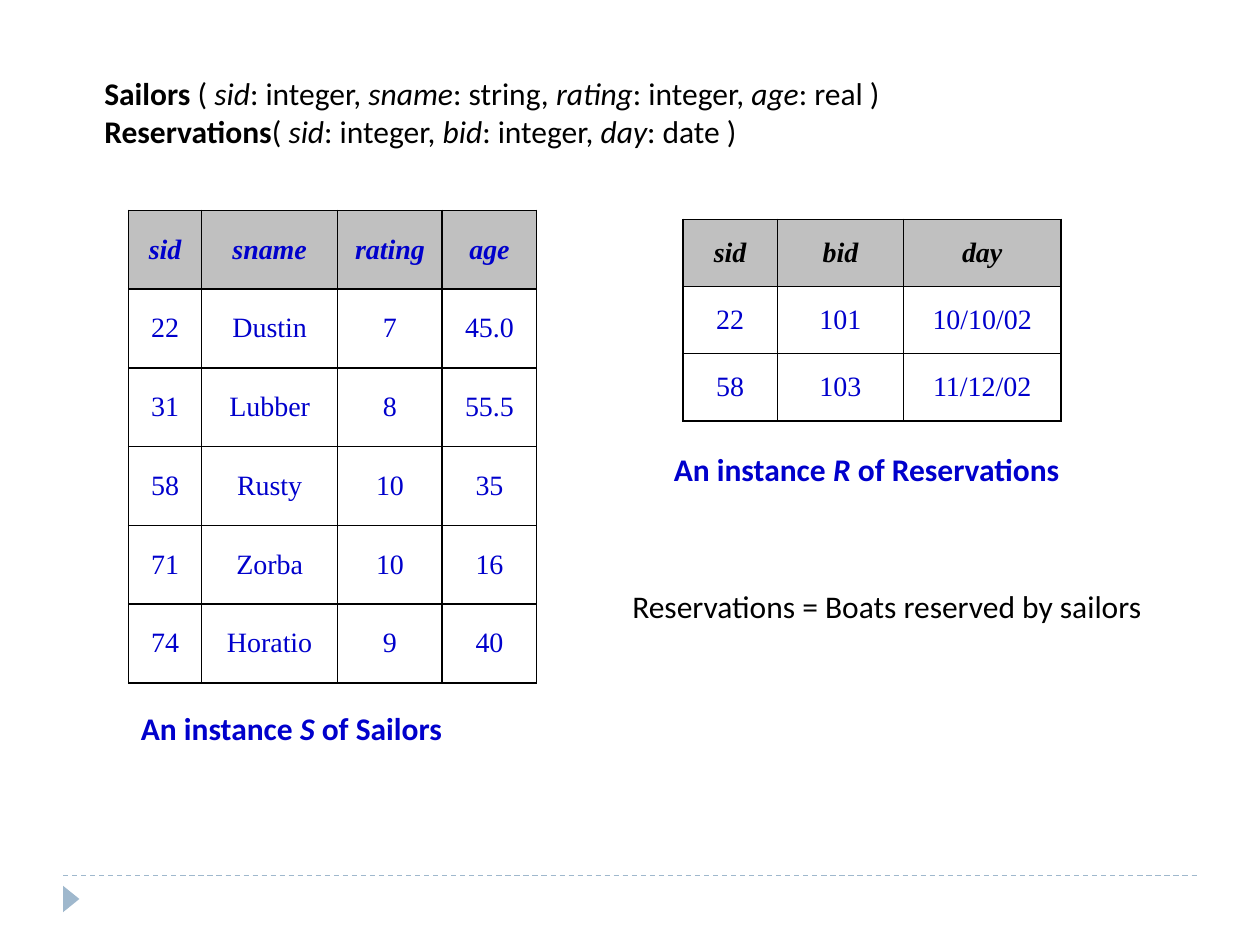
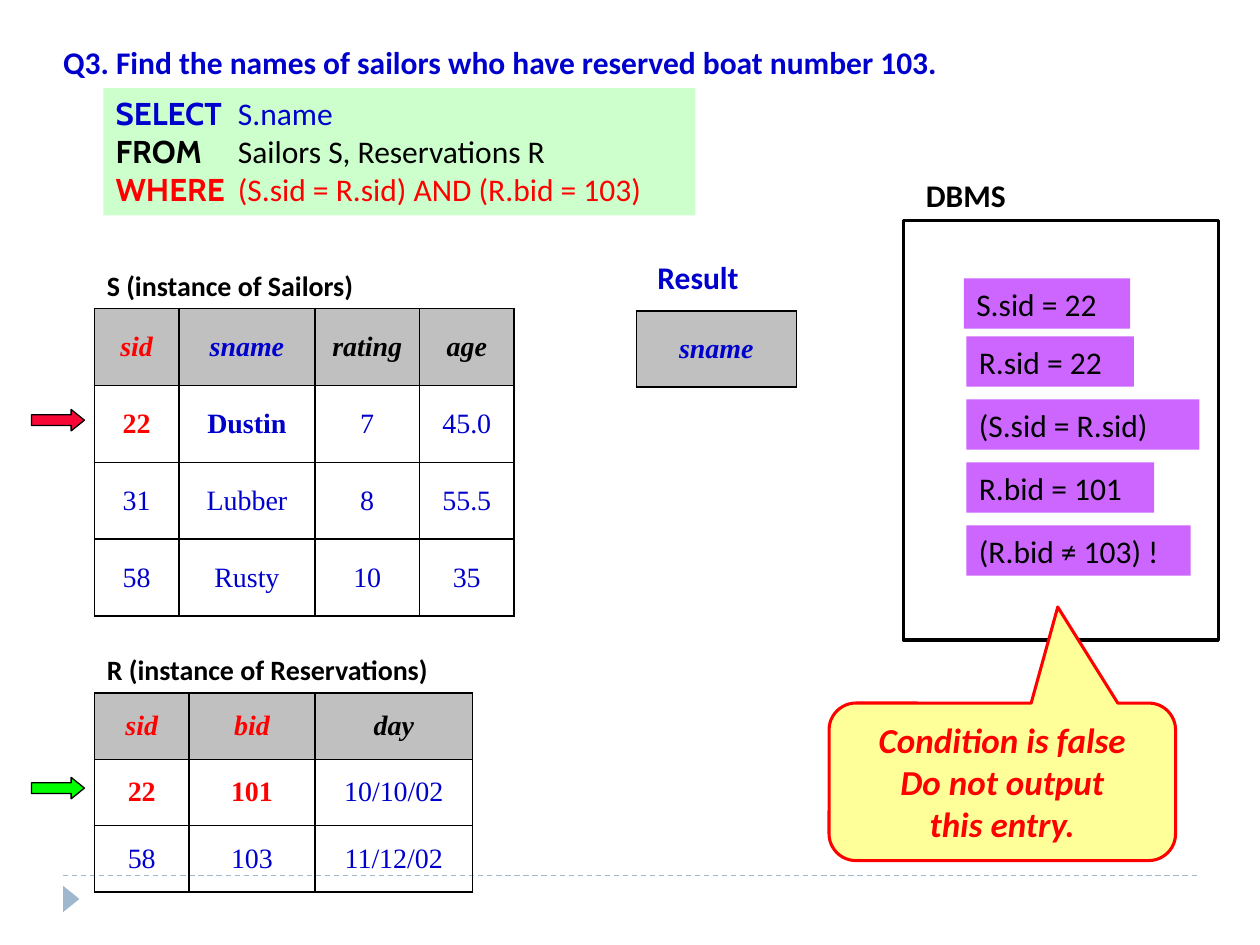
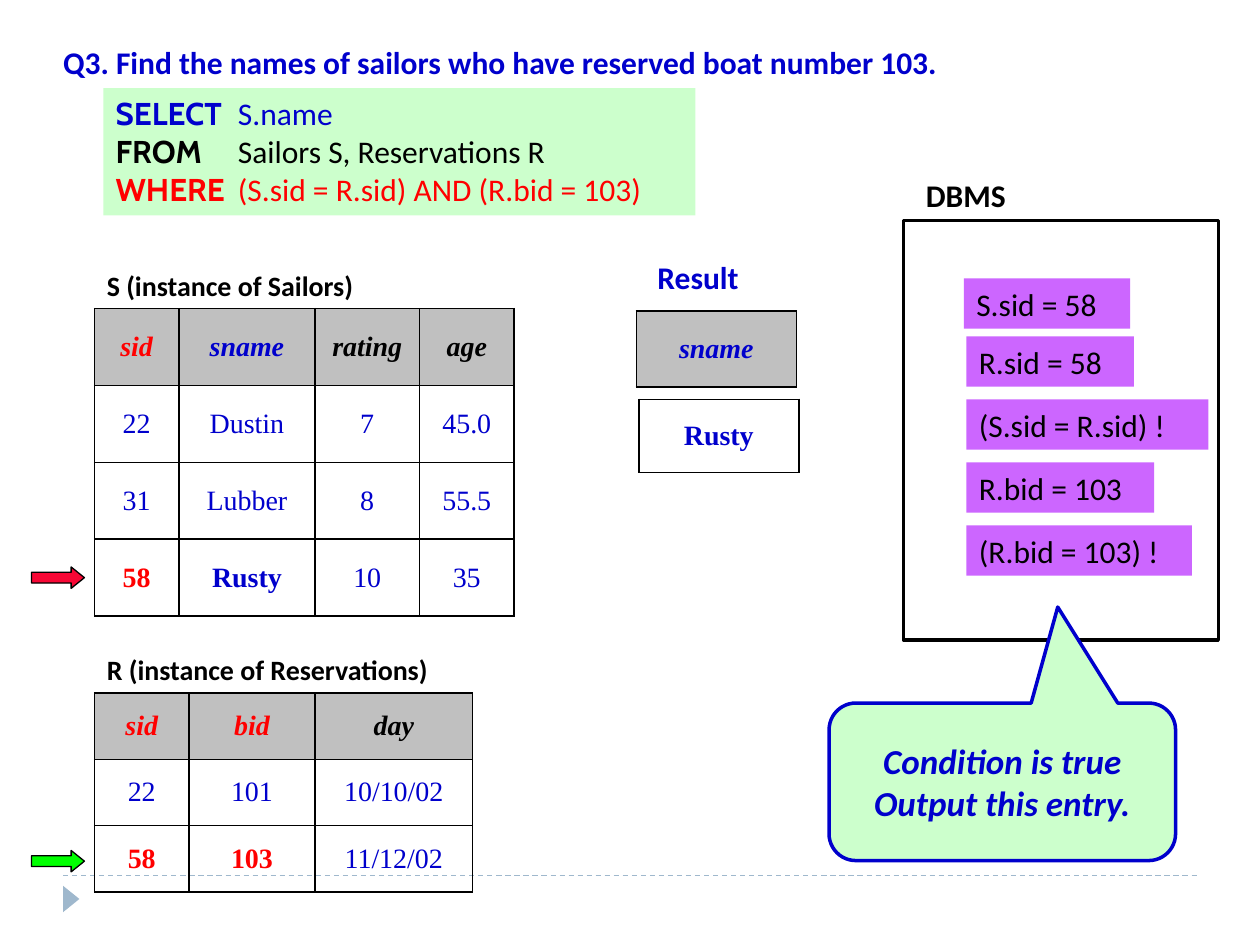
from pptx import Presentation
from pptx.dml.color import RGBColor
from pptx.enum.dml import MSO_LINE
from pptx.enum.shapes import MSO_CONNECTOR, MSO_SHAPE
from pptx.enum.text import MSO_ANCHOR, MSO_AUTO_SIZE, PP_ALIGN
from pptx.oxml.ns import qn
from pptx.util import Inches, Pt
from lxml.etree import SubElement

# Shared colours and fonts
BLACK, BLUE, RED = "000000", "0000CC", "FF0000"
GRAY, GREEN, PURPLE, YELLOW = "C0C0C0", "CCFFCC", "CC66FF", "FFFF99"
FOOTER, SAILOR_ARROW, RESERVATION_ARROW = "9FB8CD", "F70735", "00FF00"
BODY_FONT, KEYWORD_FONT, TABLE_FONT = "Calibri", "Cabin", "Times New Roman"

# Content: a span is (text, flags, colour, font), the last two optional
SAILORS = [
    ("sid", "sname", "rating", "age"),
    ("22", "Dustin", "7", "45.0"),
    ("31", "Lubber", "8", "55.5"),
    ("58", "Rusty", "10", "35"),
    ("71", "Zorba", "10", "16"),
    ("74", "Horatio", "9", "40"),
]
RESERVATIONS = [
    ("sid", "bid", "day"),
    ("22", "101", "10/10/02"),
    ("58", "103", "11/12/02"),
]
RESERVATION_WIDTHS = (0.75, 1, 1.25)
SCHEMAS = [
    ("Sailors", " ( ", [("sid", "integer"), ("sname", "string"),
                        ("rating", "integer"), ("age", "real")]),
    ("Reservations", "( ", [("sid", "integer"), ("bid", "integer"), ("day", "date")]),
]
QUESTION = "Q3. Find the names of sailors who have reserved boat number 103."
QUERY = [
    ("SELECT", "S.name", BLUE),
    ("FROM", "Sailors S, Reservations R", BLACK),
    ("WHERE", "(S.sid = R.sid) AND (R.bid = 103)", RED),
]
QUERY_COLUMNS = {"sid": RED, "bid": RED, "sname": BLUE}
LABELS = [  # text, left, top, width, size, colour
    ("S (instance of Sailors)", 0.75, 2.08, 2.54, 16, BLACK),
    ("R (instance of Reservations)", 0.75, 5.13, 3.14, 16, BLACK),
    ("Result", 5.12, 2, 0.97, 18, BLUE),
    ("DBMS", 7.25, 1.35, 1.08, 18, BLACK),
]
CHIP_PLACES = [(7.65, 2.21)] + [(7.67, 2.67 + 0.5 * step) for step in range(4)]
STEPS = [
    {
        "sailor_row": 1, "reservation_row": 1, "arrow_tops": (3.25, 6.17),
        "checks": [("S.sid = 22", 1.32), ("R.sid = 22", 1.33), ("(S.sid = R.sid)", 1.85),
                   ("R.bid = 101", 1.49), ("(R.bid ≠ 103) !", 1.78)],
        "verdict": ["Condition is false", "Do not output", "this entry."],
        "fill": YELLOW, "color": RED, "line_width": 1.75, "output": None,
    },
    {
        "sailor_row": 3, "reservation_row": 2, "arrow_tops": (4.5, 6.75),
        "checks": [("S.sid = 58", 1.32), ("R.sid = 58", 1.33), ("(S.sid = R.sid) !", 1.92),
                   ("R.bid = 103", 1.49), ("(R.bid = 103) !", 1.79)],
        "verdict": ["Condition is true", "Output this entry."],
        "fill": GREEN, "color": BLUE, "line_width": 2, "output": "Rusty",
    },
]


def rgb(color):
    return RGBColor.from_string(color)


def write(frame, paragraphs, size=18, color=BLACK, font=BODY_FONT,
          align=PP_ALIGN.LEFT, anchor=MSO_ANCHOR.TOP):
    frame.word_wrap = True
    frame.vertical_anchor = anchor
    for index, spans in enumerate(paragraphs):
        para = frame.paragraphs[0] if index == 0 else frame.add_paragraph()
        para.alignment = align
        for text, flags, *own in spans:
            span = para.add_run()
            span.text = text
            span.font.size = Pt(size)
            span.font.bold = "b" in flags
            span.font.italic = "i" in flags
            span.font.color.rgb = rgb(own[0] if own else color)
            span.font.name = own[1] if len(own) > 1 else font


def add_text(page, paragraphs, left, top, width, height=0.4, **style):
    box = page.shapes.add_textbox(Inches(left), Inches(top), Inches(width), Inches(height))
    write(box.text_frame, paragraphs, **style)


def add_box(page, kind, left, top, width, height, fill=None, line=None, line_width=0.75):
    box = page.shapes.add_shape(kind, Inches(left), Inches(top), Inches(width), Inches(height))
    box.shadow.inherit = False
    if fill:
        box.fill.solid()
        box.fill.fore_color.rgb = rgb(fill)
    else:
        box.fill.background()
    if line:
        box.line.color.rgb = rgb(line)
        box.line.width = Pt(line_width)
    else:
        box.line.fill.background()
    return box


def add_borders(cell):
    properties = cell._tc.get_or_add_tcPr()
    for position, side in enumerate(("a:lnL", "a:lnR", "a:lnT", "a:lnB")):
        border = SubElement(properties, qn(side), w=str(Pt(1)))
        fill = SubElement(border, qn("a:solidFill"))
        SubElement(fill, qn("a:srgbClr"), val=BLACK)
        properties.insert(position, border)


def add_grid(page, rows, left, top, widths, height, marks=QUERY_COLUMNS,
             header_color=BLACK, active=None, headed=True):
    """Draw a table; marked columns colour the header and the active row."""
    table = page.shapes.add_table(len(rows), len(widths), Inches(left), Inches(top),
                                  Inches(sum(widths)), Inches(height)).table
    table.first_row = headed
    table.horz_banding = False
    for column, width in zip(table.columns, widths):
        column.width = Inches(width)
    for row_index, row in enumerate(rows):
        table.rows[row_index].height = Inches(height / len(rows))
        is_header = headed and row_index == 0
        for column_index, text in enumerate(row):
            cell = table.cell(row_index, column_index)
            mark = marks.get(rows[0][column_index])
            if is_header:
                flags, color = "bi", mark or header_color
                cell.fill.solid()
                cell.fill.fore_color.rgb = rgb(GRAY)
            else:
                lit = mark and row_index == active
                flags, color = ("b", mark) if lit else ("", BLUE)
                cell.fill.background()
            write(cell.text_frame, [[(text, flags)]], size=16, color=color,
                  font=TABLE_FONT, align=PP_ALIGN.CENTER)
            cell.vertical_anchor = MSO_ANCHOR.MIDDLE
            add_borders(cell)


def add_page(deck, layout):
    page = deck.slides.add_slide(deck.slide_layouts[layout])
    # Footer rule and marker
    rule = page.shapes.add_connector(MSO_CONNECTOR.STRAIGHT, Inches(0.5), Inches(6.95),
                                     Inches(9.5), Inches(6.95))
    rule.line.color.rgb = rgb(FOOTER)
    rule.line.width = Pt(0.75)
    rule.line.dash_style = MSO_LINE.DASH
    SubElement(rule._element.spPr, qn("a:effectLst"))
    marker = add_box(page, MSO_SHAPE.ISOSCELES_TRIANGLE, 0.46, 7.07, 0.21, 0.13, FOOTER)
    marker.rotation = 90
    return page


def schema_spans(name, opening, fields):
    spans = [(name, "b"), (opening, "")]
    for index, (field, kind) in enumerate(fields):
        ending = " )" if index == len(fields) - 1 else ", "
        spans += [(field, "i"), (f": {kind}{ending}", "")]
    return spans


def add_schema_page(deck):
    page = add_page(deck, 6)
    add_text(page, [schema_spans(*schema) for schema in SCHEMAS], 0.73, 0.54, 7.43, 0.7)
    add_grid(page, SAILORS, 1.02, 1.67, (0.58, 1.08, 0.83, 0.75), 3.75,
             marks={}, header_color=BLUE)
    add_grid(page, RESERVATIONS, 5.42, 1.74, RESERVATION_WIDTHS, 1.6, marks={})
    for letter, name, left, top, width in (("S", "Sailors", 1.02, 5.58, 3.06),
                                           ("R", "Reservations", 5.25, 3.52, 3.7)):
        caption = [("An instance ", "b"), (letter, "bi"), (f" of {name}", "b")]
        add_text(page, [caption], left, top, width, color=BLUE)
    add_text(page, [[("Reservations = Boats reserved by sailors", "")]], 4.92, 4.61, 4.36)


def add_query(page):
    box = add_box(page, MSO_SHAPE.RECTANGLE, 0.82, 0.7, 4.7, 1.01, GREEN)
    write(box.text_frame, [[(keyword, "b", color, KEYWORD_FONT), (f"\t{rest}", "", color)]
                           for keyword, rest, color in QUERY])
    for para in box.text_frame.paragraphs:
        stops = SubElement(para._p.get_or_add_pPr(), qn("a:tabLst"))
        SubElement(stops, qn("a:tab"), pos=str(Inches(0.97)), algn="l")


def add_step_page(deck, step):
    page = add_page(deck, 5)
    title = page.shapes.title
    title.left, title.top, title.width, title.height = map(Inches, (0.4, 0.29, 8.15, 0.4))
    title.text_frame.auto_size = MSO_AUTO_SIZE.NONE
    write(title.text_frame, [[(QUESTION, "b")]], color=BLUE)
    add_query(page)
    for text, left, top, width, size, color in LABELS:
        add_text(page, [[(text, "b")]], left, top, width, size=size, color=color)

    # Tables, with the rows being compared lit up
    add_grid(page, SAILORS[:4], 0.75, 2.45, (0.67, 1.08, 0.83, 0.75), 2.44,
             active=step["sailor_row"])
    add_grid(page, RESERVATIONS, 0.75, 5.5, RESERVATION_WIDTHS, 1.58,
             active=step["reservation_row"])
    add_grid(page, [("sname",)], 5.05, 2.47, (1.27,), 0.6)
    if step["output"]:
        add_grid(page, [(step["output"],)], 5.07, 3.17, (1.27,), 0.58,
                 marks={step["output"]: BLUE}, active=0, headed=False)
    for top, fill in zip(step["arrow_tops"], (SAILOR_ARROW, RESERVATION_ARROW)):
        arrow = add_box(page, MSO_SHAPE.RIGHT_ARROW, 0.25, top, 0.42, 0.17, fill, BLACK)
        arrow.adjustments[1] = 0.62

    # Checks inside the DBMS
    add_box(page, MSO_SHAPE.RECTANGLE, 7.17, 1.75, 2.5, 3.33, line=BLACK, line_width=2)
    for (text, width), (left, top) in zip(step["checks"], CHIP_PLACES):
        chip = add_box(page, MSO_SHAPE.RECTANGLE, left, top, width, 0.4, PURPLE)
        write(chip.text_frame, [[(text, "")]])

    # Verdict
    callout = add_box(page, MSO_SHAPE.ROUNDED_RECTANGULAR_CALLOUT, 6.58, 5.58, 2.75, 1.25,
                      step["fill"], step["color"], step["line_width"])
    for index, value in enumerate((0.16, -1.11, 0.17)):
        callout.adjustments[index] = value
    write(callout.text_frame, [[(line, "bi")] for line in step["verdict"]], size=20,
          color=step["color"], align=PP_ALIGN.CENTER, anchor=MSO_ANCHOR.MIDDLE)


def main():
    deck = Presentation()
    deck.slide_width, deck.slide_height = Inches(10), Inches(7.5)
    add_schema_page(deck)
    for step in STEPS:
        add_step_page(deck, step)
    deck.save("out.pptx")


if __name__ == "__main__":
    main()
